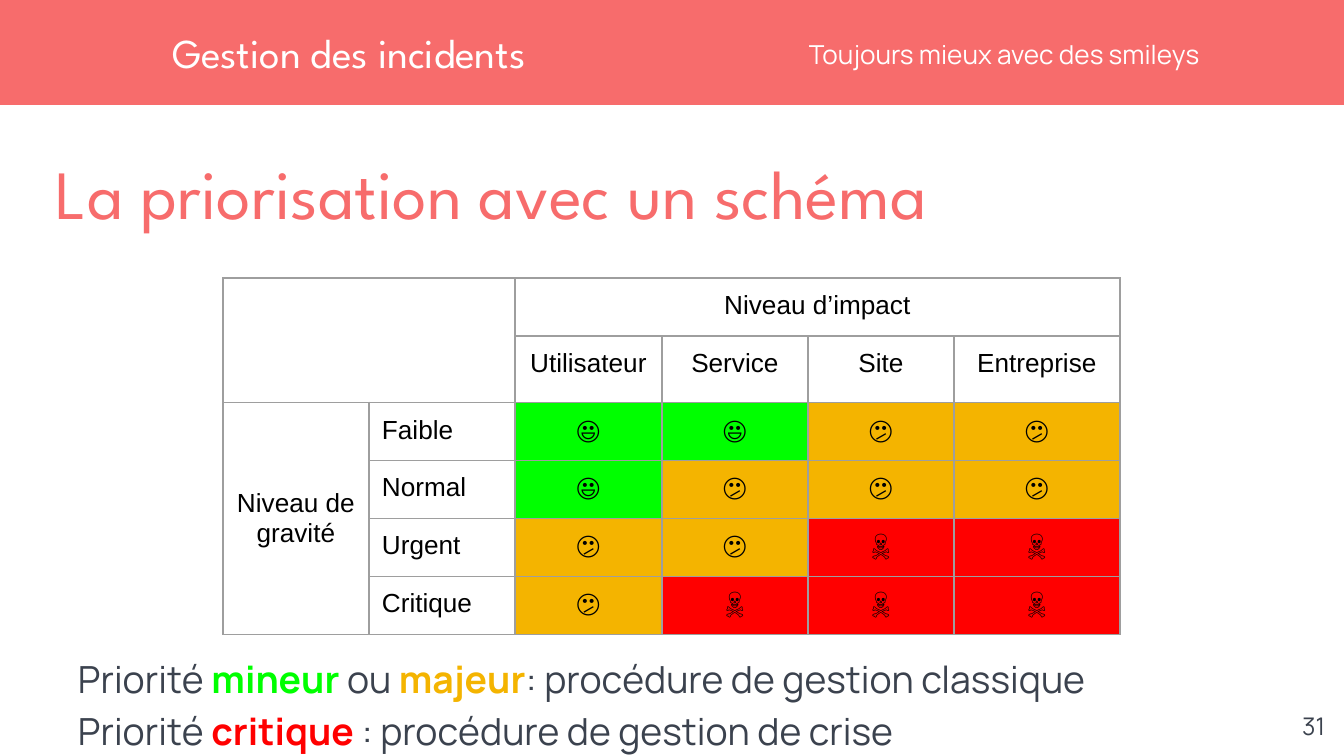
import pptx
import pptx.util
import pptx.enum.shapes
import pptx.enum.text
import pptx.dml.color
import pptx.oxml
import pptx.oxml.ns
import lxml.etree

SCALE = 914400 / 134.4  # EMU in one px
rgb = pptx.dml.color.RGBColor.from_string
align = pptx.enum.text.PP_ALIGN
anchor = pptx.enum.text.MSO_ANCHOR

theme = {
    "coral": "F76C6C", "white": "FFFFFF", "slate": "3B424E", "black": "000000",
    "green": "00FF00", "amber": "F4B400", "red": "FF0000", "line": "9E9E9E",
    "head": ("League Spartan", 22), "title": ("League Spartan", 37),
    "sub": ("Manrope", 14), "body": ("Manrope", 20), "page": ("Manrope", 13),
    "cell": ("Arial", 14),
}


def px(num):
    return pptx.util.Emu(round(num * SCALE))


def write(frame, lines, style, color, side=align.LEFT, space=1.0):
    """Fill a frame; each line is a list of (text, colour or None) runs."""
    name, size = theme[style]
    for i, line in enumerate(lines):
        para = frame.paragraphs[0] if i == 0 else frame.add_paragraph()
        look = {"alignment": side, "line_spacing": space,
                "space_before": pptx.util.Pt(0), "space_after": pptx.util.Pt(0)}
        for key, val in look.items():
            setattr(para, key, val)
        for text, accent in line:
            run = para.add_run()
            run.text = text
            look = {"name": name, "size": pptx.util.Pt(size), "bold": bool(accent)}
            for key, val in look.items():
                setattr(run.font, key, val)
            run.font.color.rgb = rgb(theme[accent or color])


deck = pptx.Presentation()
deck.slide_width, deck.slide_height = px(1344), px(756)
slide = deck.slides.add_slide(deck.slide_layouts[4])
shapes = slide.shapes
holes = {hole.placeholder_format.idx: hole for hole in slide.placeholders}

# Top band, behind the text
band = shapes.add_shape(pptx.enum.shapes.MSO_SHAPE.RECTANGLE,
                        px(-3), px(0), px(1350), px(105))
band.shadow.inherit = False
band.fill.solid()
band.fill.fore_color.rgb = rgb(theme["coral"])
band.line.fill.background()
shapes.element.insert(2, band.element)

# Titles and text
notes = [
    [("Priorité ", None), ("mineur", "green"), (" ou ", None), ("majeur", "amber"),
     (": procédure de gestion classique", None)],
    [("Priorité ", None), ("critique", "red"),
     (" : procédure de gestion de crise", None)],
]
parts = [
    (3, (809, 28, 516, 52), [[("Toujours mieux avec des smileys", None)]],
     "sub", "white", anchor.MIDDLE, 1.0),
    (1, (172, 0, 630, 105), [[("Gestion des incidents", None)]],
     "head", "white", anchor.MIDDLE, 1.0),
    (0, (56, 150, 1245, 78), [[("La priorisation avec un schéma", None)]],
     "title", "coral", anchor.TOP, 1.0),
    (2, (78, 650, 1114, 102), notes, "body", "slate", anchor.MIDDLE, 1.15),
]
for idx, box, lines, style, color, place, space in parts:
    hole = holes[idx]
    for key, val in zip(("left", "top", "width", "height"), box):
        setattr(hole, key, px(val))
    frame = hole.text_frame
    look = {"margin_left": 0, "margin_right": 0, "margin_top": 0, "margin_bottom": 0,
            "vertical_anchor": place, "word_wrap": True,
            "auto_size": pptx.enum.text.MSO_AUTO_SIZE.NONE}
    for key, val in look.items():
        setattr(frame, key, val)
    write(frame, lines, style, color, space=space)
    for para in frame.paragraphs:
        prop = para._p.get_or_add_pPr()
        prop.set("marL", "0")
        prop.set("indent", "0")
        lxml.etree.SubElement(prop, pptx.oxml.ns.qn("a:buNone"))
spare = holes[4].element
spare.getparent().remove(spare)

# Page number
page = shapes.add_textbox(px(1258), px(698), px(80), px(58)).text_frame
page.word_wrap = True
for key in ("margin_left", "margin_right", "margin_top", "margin_bottom"):
    setattr(page, key, px(13))
write(page, [[("31", None)]], "page", "slate", align.RIGHT)

# Priority matrix
marks = {"g": ("😃", "green"), "a": ("😕", "amber"), "r": ("☠️", "red")}
levels = [("Faible", "ggaa"), ("Normal", "gaaa"), ("Urgent", "aarr"), ("Critique", "arrr")]
grid = [["", "", "Niveau d’impact", "", "", ""],
        ["", "", "Utilisateur", "Service", "Site", "Entreprise"]]
for i, (level, codes) in enumerate(levels):
    grid.append(["Niveau de gravité" if i == 0 else "", level, *codes])
cols = [146, 146, 147, 146, 146, 166]
rows = [58, 65, 58, 58, 58, 58]
table = shapes.add_table(6, 6, px(223), px(278), px(sum(cols)), px(sum(rows))).table
table.first_row = table.horz_banding = False
for col, width in zip(table.columns, cols):
    col.width = px(width)
for row, height in zip(table.rows, rows):
    row.height = px(height)
for top, left, end, right in [(0, 0, 1, 1), (0, 2, 0, 5), (2, 0, 5, 0)]:
    table.cell(top, left).merge(table.cell(end, right))

for r, line in enumerate(grid):
    for c, text in enumerate(line):
        cell = table.cell(r, c)
        for key in ("margin_left", "margin_right", "margin_top", "margin_bottom"):
            setattr(cell, key, px(13))
        cell.vertical_anchor = anchor.MIDDLE if c == 0 else anchor.TOP
        cell.fill.background()
        if text in marks:
            text, tint = marks[text]
            cell.fill.solid()
            cell.fill.fore_color.rgb = rgb(theme[tint])
        if text:
            side = align.LEFT if c == 1 else align.CENTER
            write(cell.text_frame, [[(text, None)]], "cell", "black", side)
        # Cell borders
        prop = cell._tc.get_or_add_tcPr()
        for i, edge in enumerate(("lnL", "lnR", "lnT", "lnB")):
            prop.insert(i, pptx.oxml.parse_xml(
                f'<a:{edge} {pptx.oxml.ns.nsdecls("a")} w="9525"><a:solidFill>'
                f'<a:srgbClr val="{theme["line"]}"/></a:solidFill></a:{edge}>'))

deck.save("out.pptx")
